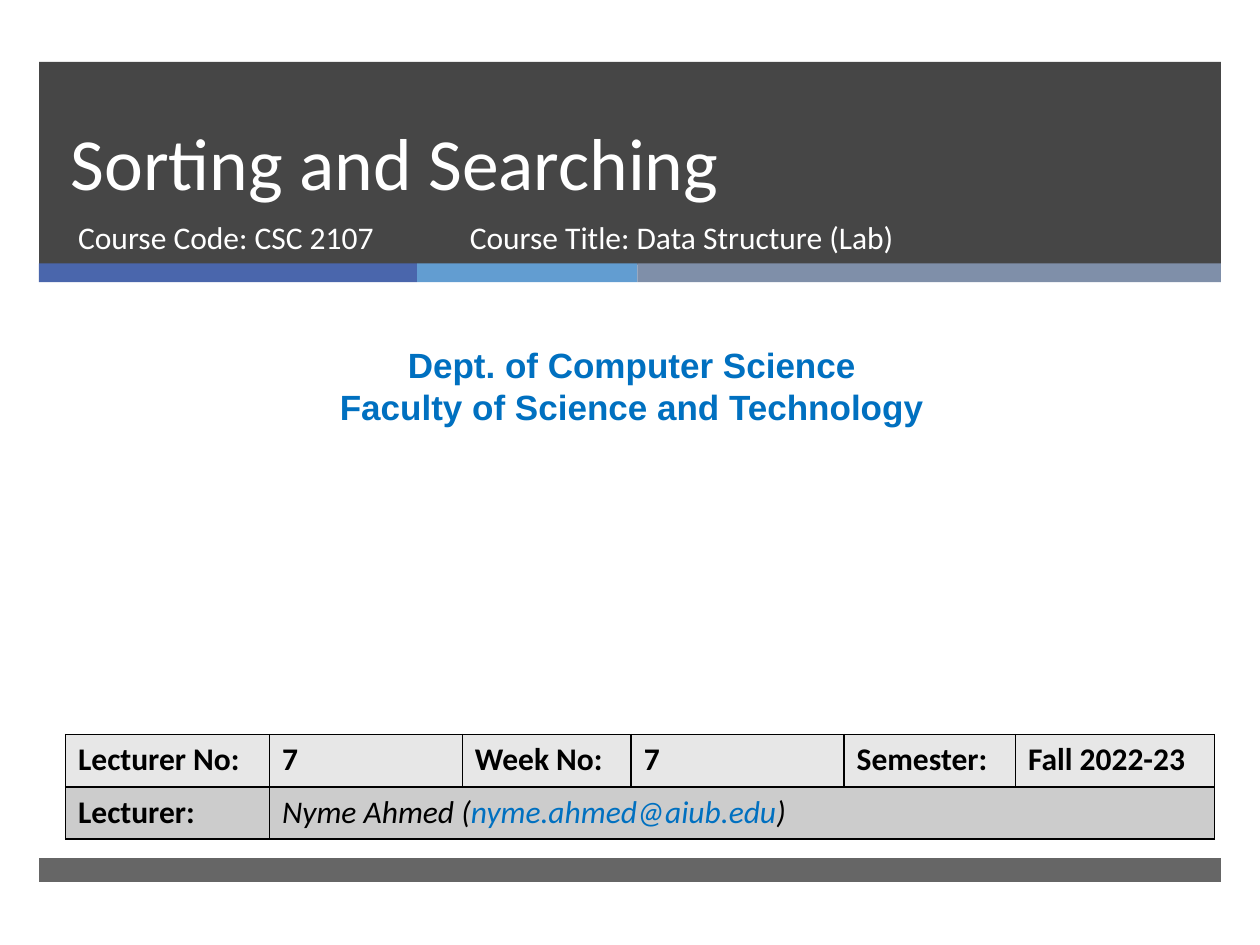
from itertools import accumulate

from lxml.etree import SubElement
from pptx import Presentation
from pptx.dml.color import RGBColor
from pptx.enum.shapes import MSO_SHAPE
from pptx.enum.text import MSO_ANCHOR, MSO_AUTO_SIZE, PP_ALIGN
from pptx.oxml.ns import qn
from pptx.util import Inches, Pt

WHITE, BLACK, BLUE, CHARCOAL = "FFFFFF", "000000", "0070C0", "262626"
COURSE = {"name": "Calibri", "size": Pt(18), "bold": False}
LABEL = {"name": "Calibri", "size": Pt(18), "bold": True}
LECTURER = {"name": "Calibri", "size": Pt(18), "bold": False, "italic": True}


def colour(value):
    """Turn a hex string into a colour."""
    return RGBColor.from_string(value)


def add_span(para, text, style, hue):
    """Add one formatted run to a paragraph."""
    span = para.add_run()
    span.text = text
    for name, value in style.items():
        setattr(span.font, name, value)
    span.font.color.rgb = colour(hue)


def add_bar(page, box, hue, opacity=100):
    """Draw a borderless bar with the given opacity in percent."""
    bar = page.shapes.add_shape(MSO_SHAPE.RECTANGLE, *map(Inches, box))
    bar.shadow.inherit = False
    bar.line.fill.background()
    bar.fill.solid()
    bar.fill.fore_color.rgb = colour(hue)
    if opacity < 100:
        tone = bar.fill._xPr.find(".//" + qn("a:srgbClr"))
        SubElement(tone, qn("a:alpha"), val=str(opacity * 1000))


def fill_text(shape, box, lines, style, hue, align=PP_ALIGN.LEFT, anchor=MSO_ANCHOR.TOP):
    """Place a text shape in its box and write its lines."""
    shape.left, shape.top, shape.width, shape.height = map(Inches, box)
    frame = shape.text_frame
    frame.word_wrap = True
    frame.auto_size = MSO_AUTO_SIZE.NONE
    frame.vertical_anchor = anchor
    for index, line in enumerate(lines):
        para = frame.add_paragraph() if index else frame.paragraphs[0]
        para.alignment = align
        para.space_before = Pt(0)
        add_span(para, line, style, hue)


def add_text(page, box, *args, **options):
    """Add a text box and write its lines."""
    fill_text(page.shapes.add_textbox(*map(Inches, box)), box, *args, **options)


def add_header(page, left, top, width, height):
    """Draw the title band, its three-colour strip and its text."""
    add_bar(page, (left, top, width, height), CHARCOAL, 85)
    widths = [3, 1.75, 4.63]
    starts = accumulate(widths[:-1], initial=left)
    for start, size, hue in zip(starts, widths, ["4A66AC", "629DD1", "7F8FA9"]):
        add_bar(page, (start, top + height - 0.01, size, 0.15), hue)

    title, subtitle = page.placeholders[0], page.placeholders[1]
    for holder in (title, subtitle):
        holder.element.getparent().append(holder.element)
    fill_text(title, (left + 0.15, top, 8.54, 1.19), ["Sorting and Searching"],
              {"name": "Calibri", "size": Pt(42)}, WHITE, anchor=MSO_ANCHOR.BOTTOM)
    title.text_frame.paragraphs[0].line_spacing = Pt(46)
    line_top = top + 1.19
    fill_text(subtitle, (left + 0.21, line_top, 3.05, 0.53),
              ["Course Code: CSC 2107"], COURSE, WHITE)
    add_text(page, (left + 3.32, line_top, 4.55, 0.53),
             ["Course Title: Data Structure (Lab)"], COURSE, WHITE)


def border_cell(cell):
    """Give a cell thin black lines on all four sides."""
    props = cell._tc.get_or_add_tcPr()
    for index, side in enumerate(("a:lnL", "a:lnR", "a:lnT", "a:lnB")):
        line = props.makeelement(qn(side), {"w": str(Pt(1))})
        fill = SubElement(line, qn("a:solidFill"))
        SubElement(fill, qn("a:srgbClr"), val=BLACK)
        props.insert(index, line)


def add_details(page, left, top, width, height):
    """Build the table of lecture details."""
    labels = [["Lecturer No:", "7", "Week No:", "7", "Semester:", "Fall 2022-23"],
              ["Lecturer:"]]
    table = page.shapes.add_table(2, 6, *map(Inches, (left, top, width, height))).table
    for column, size in zip(table.columns, [1.62, 1.53, 1.34, 1.69, 1.36, 1.58]):
        column.width = Inches(size)
    for index, hue in enumerate(["E7E7E7", "CCCCCC"]):
        for cell in table.rows[index].cells:
            cell.fill.solid()
            cell.fill.fore_color.rgb = colour(hue)
            border_cell(cell)
        for column, text in enumerate(labels[index]):
            add_span(table.cell(index, column).text_frame.paragraphs[0], text, LABEL, BLACK)
    lecturer = table.cell(1, 1)
    lecturer.merge(table.cell(1, 5))
    para = lecturer.text_frame.paragraphs[0]
    for text, hue in [("Nyme Ahmed (", BLACK), ("nyme.ahmed@aiub.edu", BLUE), (")", BLACK)]:
        add_span(para, text, LECTURER, hue)


def main():
    """Build the deck and save it."""
    deck = Presentation()
    deck.slide_width, deck.slide_height = Inches(10), Inches(7.5)
    page = deck.slides.add_slide(deck.slide_layouts[0])
    add_header(page, 0.31, 0.49, 9.38, 1.61)
    add_bar(page, (0.31, 6.81, 9.38, 0.19), CHARCOAL, 70)
    add_text(page, (0.08, 2.68, 9.87, 0.77),
             ["Dept. of Computer Science", "Faculty of Science and Technology"],
             {"name": "Arial", "size": Pt(20), "bold": True}, BLUE, align=PP_ALIGN.CENTER)
    add_details(page, 0.52, 5.83, 9.12, 0.83)
    deck.save("out.pptx")


if __name__ == "__main__":
    main()
